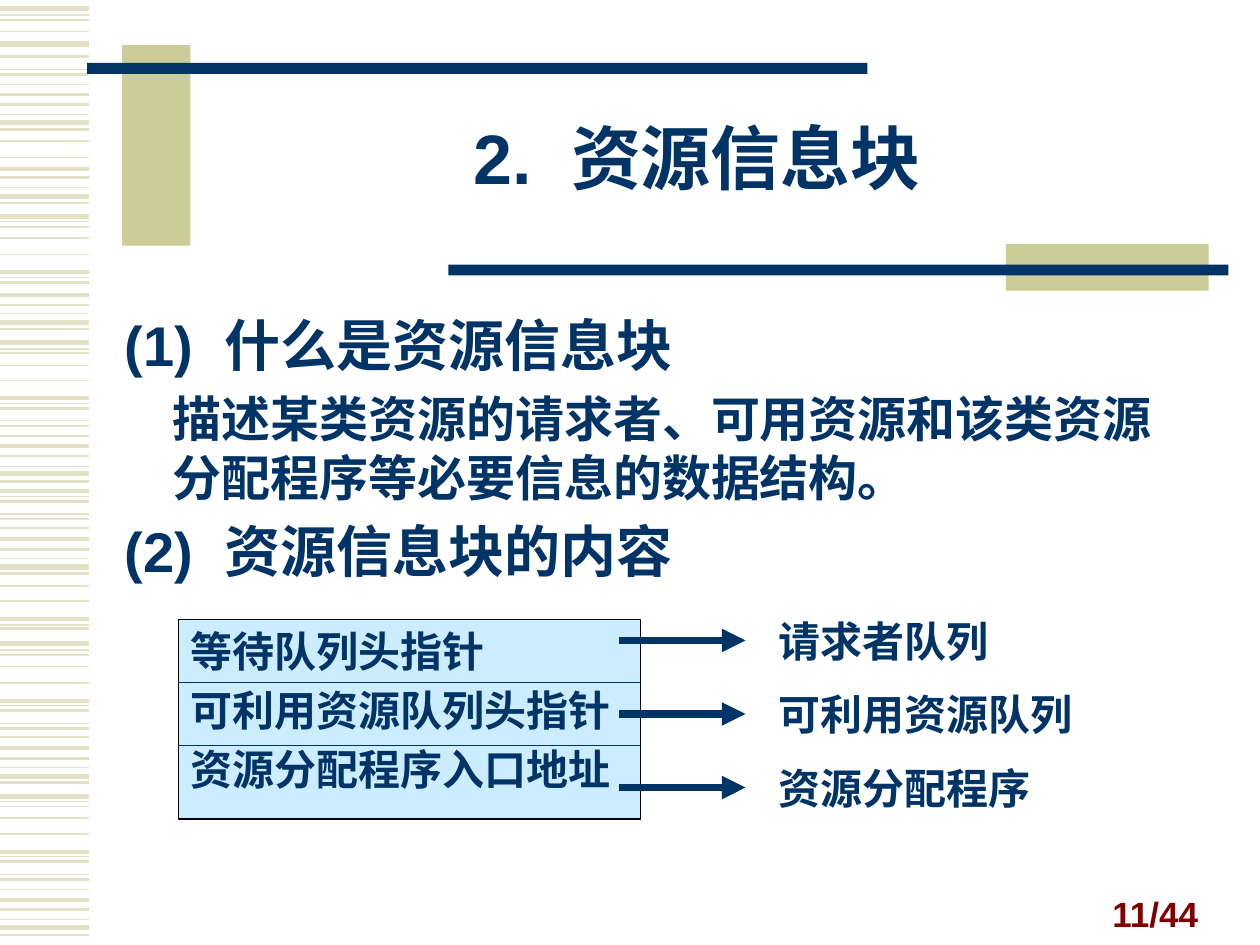
import pptx
import pptx.dml.color
import pptx.enum.shapes
import pptx.enum.text
import pptx.oxml.ns
import pptx.util
from lxml import etree

ALIGN = pptx.enum.text.PP_ALIGN
ANCHOR = pptx.enum.text.MSO_ANCHOR
NAVY, SAND, PALE_SAND, SKY = "003366", "CCCC99", "E3E2C7", "CCECFF"
CELLS_PER_INCH = 12
STRIPES = {
    0.75: [12, 55, 91, 149, 176, 220, 249, 277, 320, 334, 370, 394, 408, 443,
           496, 516, 560, 574, 609, 636, 680, 694, 730],
    1: [16, 25, 67, 112, 125, 180, 189, 202, 280, 290, 302, 346, 419, 465,
        477, 520, 529, 542, 585, 640, 649, 662, 706],
    1.5: [45, 59, 83, 103, 141, 161, 224, 242, 261, 324, 338, 362, 382, 398,
          412, 436, 455, 499, 564, 578, 602, 621, 684, 698, 722, 742],
    2.25: [75, 134, 216, 234, 316, 354, 390, 428, 491, 556, 594, 676, 714],
    3: [7, 35, 97, 156, 172, 256, 272, 376, 450, 511, 616, 632, 736],
}


def cells(count):
    """Return the length of a number of grid cells."""
    return pptx.util.Inches(round(count / CELLS_PER_INCH, 4))


def color(value):
    """Return a colour from a hex string."""
    return pptx.dml.color.RGBColor.from_string(value)


def place(shape, left, top, width, height):
    """Move and size a shape in grid cells."""
    shape.left, shape.top = cells(left), cells(top)
    shape.width, shape.height = cells(width), cells(height)


def add_run(paragraph, text, size, font="Arial", fill=NAVY):
    """Add one bold run and return it."""
    run = paragraph.add_run()
    run.text = text
    run.font.name = font
    run.font.size = pptx.util.Pt(size)
    run.font.bold = True
    run.font.color.rgb = color(fill)
    return run


def add_numbered_heading(paragraph, number, text, size):
    """Add a number, a widened space and a heading."""
    add_run(paragraph, number, size)
    gap = add_run(paragraph, " ", size)
    gap.font._element.set("spc", str(size * 28))
    add_run(paragraph, text, size)


def add_line(slide, start, end, fill, weight, arrow=False):
    """Add a straight line between two grid points."""
    line = slide.shapes.add_connector(
        pptx.enum.shapes.MSO_CONNECTOR.STRAIGHT, *map(cells, start + end))
    line.line.color.rgb = color(fill)
    line.line.width = pptx.util.Pt(weight)
    if arrow:
        outline = line.line._get_or_add_ln()
        etree.SubElement(outline, pptx.oxml.ns.qn("a:tailEnd"), type="triangle")
    etree.SubElement(line._element.spPr, pptx.oxml.ns.qn("a:effectLst"))


def add_rectangle(slide, bounds, fill, outline=None):
    """Add a flat rectangle, outlined on request."""
    shape = slide.shapes.add_shape(
        pptx.enum.shapes.MSO_SHAPE.RECTANGLE, *map(cells, bounds))
    shape.shadow.inherit = False
    shape.fill.solid()
    shape.fill.fore_color.rgb = color(fill)
    if outline:
        shape.line.color.rgb = color(outline)
        shape.line.width = pptx.util.Pt(0.75)
    else:
        shape.line.fill.background()
    return shape


def add_label(slide, bounds, text, size, font, fill=NAVY,
              align=ALIGN.LEFT, anchor=ANCHOR.TOP):
    """Add a one-line text box."""
    frame = slide.shapes.add_textbox(*map(cells, bounds)).text_frame
    frame.word_wrap = True
    frame.vertical_anchor = anchor
    frame.paragraphs[0].alignment = align
    add_run(frame.paragraphs[0], text, size, font, fill)


def add_decoration(slide):
    """Draw the striped edge and the bars around the title."""
    for weight, tops in STRIPES.items():
        for top in tops:
            row = top * CELLS_PER_INCH / 100
            add_line(slide, (0, row), (8.5, row), PALE_SAND, weight)
    add_rectangle(slide, (11.64, 4.3, 6.5, 19.1), SAND)
    add_rectangle(slide, (8.3, 6, 74.3, 1.04), NAVY)
    add_rectangle(slide, (95.8, 23.25, 19.3, 4.45), SAND)
    add_rectangle(slide, (42.7, 25.2, 74.3, 1.04), NAVY)


def fill_title(title):
    """Write the slide title."""
    place(title, 18, 8, 96.8, 15)
    frame = title.text_frame
    frame.auto_size = pptx.enum.text.MSO_AUTO_SIZE.NONE
    frame.vertical_anchor = ANCHOR.MIDDLE
    paragraph = frame.paragraphs[0]
    paragraph.alignment = ALIGN.CENTER
    paragraph.line_spacing = 0.85
    add_numbered_heading(paragraph, "2.", "资源信息块", 40)


def add_body_paragraph(frame, first, hanging, space):
    """Return an unbulleted paragraph with the body's indent."""
    paragraph = frame.paragraphs[0] if first else frame.add_paragraph()
    paragraph.space_before = pptx.util.Pt(space)
    properties = paragraph._p.get_or_add_pPr()
    indent = pptx.util.Inches(0.38)
    properties.set("marL", str(indent))
    properties.set("indent", str(-indent if hanging else 0))
    etree.SubElement(properties, pptx.oxml.ns.qn("a:buNone"))
    return paragraph


def fill_body(body):
    """Write the two headings and the definition."""
    place(body, 10.7, 29, 104.4, 50.9)
    frame = body.text_frame
    frame.auto_size = pptx.enum.text.MSO_AUTO_SIZE.NONE
    add_numbered_heading(add_body_paragraph(frame, True, True, 3),
                         "(1)", "什么是资源信息块", 32)
    add_run(add_body_paragraph(frame, False, False, 6),
            "描述某类资源的请求者、可用资源和该类资源分配程序等必要信息的数据结构。", 28)
    add_numbered_heading(add_body_paragraph(frame, False, True, 6),
                         "(2)", "资源信息块的内容", 32)


def add_block_diagram(slide):
    """Draw the information block and what its fields point to."""
    block = add_rectangle(slide, (17, 59, 44, 19), SKY, "000000")
    frame = block.text_frame
    frame.vertical_anchor = ANCHOR.TOP
    for index, text in enumerate(
            ["等待队列头指针", "可利用资源队列头指针", "资源分配程序入口地址"]):
        paragraph = frame.add_paragraph() if index else frame.paragraphs[0]
        paragraph.alignment = ALIGN.JUSTIFY
        paragraph.space_before = pptx.util.Pt(5)
        add_run(paragraph, text, 24, "Times New Roman")
    for row in (65, 71):
        add_line(slide, (17, row), (61, row), NAVY, 0.75)
    targets = [("请求者队列", 24), ("可利用资源队列", 33), ("资源分配程序", 28)]
    for index, (text, width) in enumerate(targets):
        row = 61 + 7 * index
        add_line(slide, (59, row), (71, row), NAVY, 4.5, arrow=True)
        add_label(slide, (73, row - 3, width, 6), text, 24, "Times New Roman")


def main():
    """Build and save the slide."""
    presentation = pptx.Presentation()
    presentation.slide_width = cells(120)
    presentation.slide_height = cells(90)
    slide = presentation.slides.add_slide(presentation.slide_layouts[1])
    add_decoration(slide)
    fill_title(slide.shapes.title)
    fill_body(slide.placeholders[1])
    add_block_diagram(slide)
    add_label(slide, (86.5, 83.6, 28.8, 6), "11/44", 20, "Arial", "800000",
              ALIGN.RIGHT, ANCHOR.BOTTOM)
    presentation.save("out.pptx")


if __name__ == "__main__":
    main()
